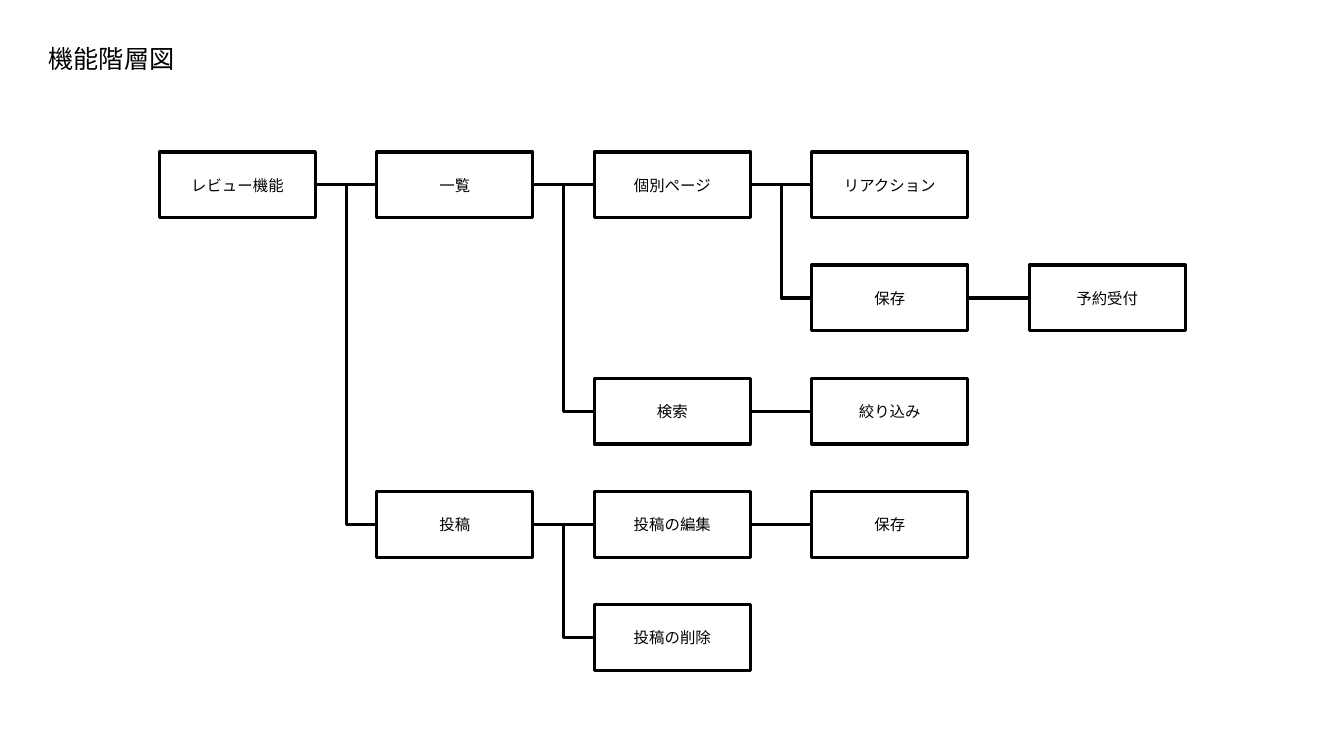
from lxml.etree import SubElement
from pptx import Presentation
from pptx.dml.color import RGBColor
from pptx.enum.shapes import MSO_CONNECTOR, MSO_SHAPE
from pptx.enum.text import MSO_ANCHOR, MSO_AUTO_SIZE, PP_ALIGN
from pptx.oxml.ns import qn
from pptx.util import Cm, Pt

TITLE = "機能階層図"
# Each function is (name, list of child functions).
FUNCTIONS = ("レビュー機能", [
    ("一覧", [
        ("個別ページ", [
            ("リアクション", []),
            ("保存", [("予約受付", [])]),
        ]),
        ("検索", [("絞り込み", [])]),
    ]),
    ("投稿", [
        ("投稿の編集", [("保存", [])]),
        ("投稿の削除", []),
    ]),
])

COLORS = {"ink": "000000", "paper": "FFFFFF"}
FONT = "Arial"
LINE_WIDTH = Pt(2.25)
TREE_LEFT, TREE_TOP = 4.02, 3.83
COLUMN_STEP, ROW_STEP = 5.48, 2.85
BOX_WIDTH, BOX_HEIGHT = 3.93, 1.66
LEFT_SITE, RIGHT_SITE = 1, 3


def color(name):
    return RGBColor.from_string(COLORS[name])


def write(shape, text, size, alignment, anchor):
    frame = shape.text_frame
    frame.text = text
    frame.word_wrap = True
    frame.vertical_anchor = anchor
    para = frame.paragraphs[0]
    para.alignment = alignment
    font = para.runs[0].font
    font.name, font.size = FONT, Pt(size)
    font.color.rgb = color("ink")


def draw_line(line):
    line.color.rgb = color("ink")
    line.width = LINE_WIDTH


def add_box(slide, name, column, row):
    box = slide.shapes.add_shape(
        MSO_SHAPE.RECTANGLE,
        Cm(TREE_LEFT + column * COLUMN_STEP), Cm(TREE_TOP + row * ROW_STEP),
        Cm(BOX_WIDTH), Cm(BOX_HEIGHT))
    box.shadow.inherit = False
    box.fill.solid()
    box.fill.fore_color.rgb = color("paper")
    draw_line(box.line)
    write(box, name, 11, PP_ALIGN.CENTER, MSO_ANCHOR.MIDDLE)
    return box


def join(slide, parent, child):
    same_row = parent.top == child.top
    kind = MSO_CONNECTOR.STRAIGHT if same_row else MSO_CONNECTOR.ELBOW
    connector = slide.shapes.add_connector(kind, 0, 0, 0, 0)
    connector.begin_connect(parent, RIGHT_SITE)
    connector.end_connect(child, LEFT_SITE)
    draw_line(connector.line)
    SubElement(connector._element.spPr, qn("a:effectLst"))


def add_branch(slide, function, column=0, row=0):
    """Draw a function and its children; return its box and the next free row."""
    name, children = function
    box = add_box(slide, name, column, row)
    next_row = row
    for child in children:
        child_box, next_row = add_branch(slide, child, column + 1, next_row)
        join(slide, box, child_box)
    return box, max(next_row, row + 1)


def main():
    deck = Presentation()
    deck.slide_width, deck.slide_height = Cm(33.87), Cm(19.05)
    slide = deck.slides.add_slide(deck.slide_layouts[5])

    title = slide.shapes.title
    title.left, title.top, title.width, title.height = Cm(0.97), Cm(0.97), Cm(5.18), Cm(1.03)
    write(title, TITLE, 18, PP_ALIGN.LEFT, MSO_ANCHOR.TOP)
    title.text_frame.auto_size = MSO_AUTO_SIZE.SHAPE_TO_FIT_TEXT

    add_branch(slide, FUNCTIONS)
    deck.save("out.pptx")


if __name__ == "__main__":
    main()
